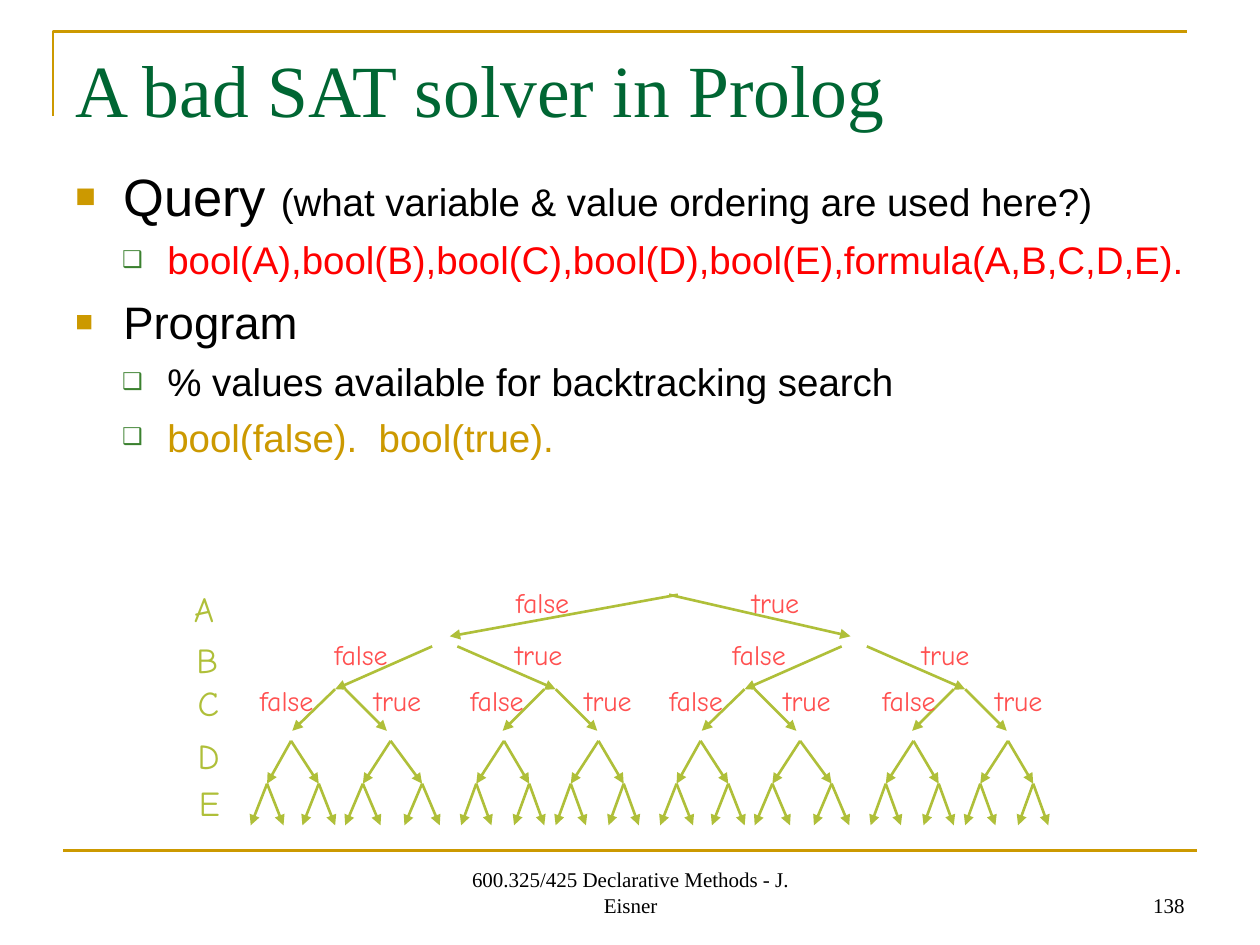
"""Build a slide on a naive SAT solver in Prolog, with its binary search tree."""
from lxml import etree
from pptx import Presentation
from pptx.dml.color import RGBColor
from pptx.enum.shapes import MSO_CONNECTOR
from pptx.enum.text import MSO_ANCHOR, MSO_AUTO_SIZE, PP_ALIGN
from pptx.oxml.ns import qn
from pptx.util import Pt

PX = 9144
STRAIGHT = MSO_CONNECTOR.STRAIGHT
TOP, BOTTOM = MSO_ANCHOR.TOP, MSO_ANCHOR.BOTTOM
LEFT, CENTER, RIGHT = PP_ALIGN.LEFT, PP_ALIGN.CENTER, PP_ALIGN.RIGHT
FIT_SHAPE = MSO_AUTO_SIZE.SHAPE_TO_FIT_TEXT

BLACK = RGBColor(0x00, 0x00, 0x00)
GOLD = RGBColor(0xCC, 0x99, 0x00)
DARK_GREEN = RGBColor(0x00, 0x66, 0x33)
BULLET_GREEN = RGBColor(0x3B, 0x81, 0x2F)
RED = RGBColor(0xFF, 0x00, 0x00)
TREE_GREEN = RGBColor(0xAF, 0xBF, 0x39)
CORAL = RGBColor(0xFF, 0x50, 0x50)

SERIF, SANS, HAND = "Times New Roman", "Arial", "Comic Neue"

BULLETS = [("■", GOLD, 65, 38, 38), ("❑", BULLET_GREEN, 60, 73, 36)]
OUTLINE = [
    (0, 0, [("Query ", 30, BLACK),
            ("(what variable & value ordering are used here?)", 22, BLACK)]),
    (1, 5.5, [("bool(A),bool(B),bool(C),bool(D),bool(E),formula(A,B,C,D,E).", 22, RED)]),
    (0, 6.5, [("Program", 26, BLACK)]),
    (1, 5.5, [("% values available for backtracking search", 22, BLACK)]),
    (1, 5.5, [("bool(false).  bool(true).", 22, GOLD)]),
]

LEVEL_Y = {"B": (513, 547), "C": (547, 580), "D": (588, 622), "E": (622, 655)}
HALF_SHIFT = 325
UPPER_BRANCHES = [
    ("B", 343, 266), ("B", 363, 441),
    ("C", 266, 232), ("C", 274, 307), ("C", 432, 399), ("C", 441, 474),
]
LOWER_TREES = [(231, 212, 253, 13), (310, 288, 335, 14),
               (400, 378, 420, 12), (475, 453, 495, 12)]
VARIABLES = [("A", 144, 461), ("B", 146, 502), ("C", 147, 536),
             ("D", 147, 578), ("E", 148, 615)]
BRANCH_LABELS = [
    (460, [399], [586]),
    (501, [255, 571], [398, 721]),
    (538, [196, 363, 521, 690], [286, 453, 611, 779]),
]


def style_font(font, name, size, color):
    """Set the typeface, size and colour of a font."""
    font.name, font.size = name, Pt(size)
    font.color.rgb = color


def add_box(page, left, top, width, height, wrap=True, anchor=TOP):
    """Add an empty text box and return its text frame."""
    box = page.shapes.add_textbox(left * PX, top * PX, width * PX, height * PX)
    frame = box.text_frame
    frame.word_wrap = wrap
    frame.vertical_anchor = anchor
    frame.margin_left = frame.margin_right = 10 * PX
    frame.margin_top = frame.margin_bottom = 5 * PX
    return frame


def add_text(page, text, area, font, align=LEFT, **options):
    """Add a text box holding one styled paragraph."""
    frame = add_box(page, *area, **options)
    frame.text = text
    para = frame.paragraphs[0]
    para.alignment = align
    style_font(para.runs[0].font, *font)
    return frame


def add_label(page, text, area, font, align=LEFT):
    """Add a label whose box fits its text."""
    add_text(page, text, area, font, align, wrap=False).auto_size = FIT_SHAPE


def add_line(page, start, end, color, arrow=False):
    """Add a straight line, with an arrowhead at its end if asked."""
    line = page.shapes.add_connector(STRAIGHT, *(value * PX for value in start + end))
    line.line.color.rgb = color
    line.line.width = Pt(1.5)
    properties = line._element.spPr
    if arrow:
        etree.SubElement(properties.find(qn("a:ln")), qn("a:tailEnd"), type="triangle")
    etree.SubElement(properties, qn("a:effectLst"))


def add_corner_rule(page):
    """Draw the gold rule that turns the corner above the title."""
    builder = page.shapes.build_freeform(42, 92, scale=PX)
    builder.add_line_segments([(42, 25), (942, 25)], close=False)
    rule = builder.convert_to_shape()
    rule.shadow.inherit = False
    rule.fill.background()
    rule.line.color.rgb = GOLD
    rule.line.width = Pt(1.5)


def set_bullet(para, level):
    """Give a paragraph the indent and bullet of its outline level."""
    mark, color, percent, margin, hanging = BULLETS[level]
    properties = para._p.get_or_add_pPr()
    properties.set("marL", str(margin * PX))
    properties.set("indent", str(-hanging * PX))
    bullet_color = etree.SubElement(properties, qn("a:buClr"))
    etree.SubElement(bullet_color, qn("a:srgbClr"), val=str(color))
    etree.SubElement(properties, qn("a:buSzPct"), val=str(percent * 1000))
    etree.SubElement(properties, qn("a:buFont"), typeface=SANS)
    etree.SubElement(properties, qn("a:buChar"), char=mark)


def add_outline(page):
    """Add the bulleted outline."""
    frame = add_box(page, 50, 125, 925, 550)
    for index, (level, space, spans) in enumerate(OUTLINE):
        para = frame.add_paragraph() if index else frame.paragraphs[0]
        para.level = level
        set_bullet(para, level)
        para.space_before = Pt(space)
        for text, size, color in spans:
            span = para.add_run()
            span.text = text
            style_font(span.font, SANS, size, color)


def add_branch(page, level, start_x, end_x):
    """Add one tree arrow across a level."""
    top, bottom = LEVEL_Y[level]
    add_line(page, (start_x, top), (end_x, bottom), TREE_GREEN, arrow=True)


def add_half_tree(page, shift):
    """Add all branches below one value of A."""
    for level, start_x, end_x in UPPER_BRANCHES:
        add_branch(page, level, start_x + shift, end_x + shift)
    for root, left, right, spread in LOWER_TREES:
        for child in (left, right):
            add_branch(page, "D", root + shift, child + shift)
            for leaf in (child - spread, child + spread):
                add_branch(page, "E", child + shift, leaf + shift)


def add_search_tree(page):
    """Add the search tree with its variable and value labels."""
    for name, left, top in VARIABLES:
        add_label(page, name, (left, top, 37, 44), (HAND, 20, TREE_GREEN))
    add_line(page, (538, 472), (357, 505), TREE_GREEN, arrow=True)
    add_line(page, (531, 472), (675, 505), TREE_GREEN, arrow=True)
    for shift in (0, HALF_SHIFT):
        add_half_tree(page, shift)
    for top, *columns in BRANCH_LABELS:
        for value, width, lefts in zip(("false", "true"), (63, 59), columns):
            for left in lefts:
                add_label(page, value, (left, top, width, 37), (HAND, 16, CORAL), CENTER)


def main():
    """Build and save the slide."""
    deck = Presentation()
    deck.slide_width, deck.slide_height = 1000 * PX, 750 * PX
    page = deck.slides.add_slide(deck.slide_layouts[6])
    add_corner_rule(page)
    add_line(page, (50, 675), (950, 675), GOLD)
    footer_font = (SERIF, 12, BLACK)
    add_text(page, "600.325/425 Declarative Methods - J. Eisner",
             (342, 683, 317, 50), footer_font, CENTER, anchor=BOTTOM)
    add_text(page, "138", (717, 683, 233, 50), footer_font, RIGHT, anchor=BOTTOM)
    add_text(page, "A bad SAT solver in Prolog", (50, 30, 900, 125),
             (SERIF, 42, DARK_GREEN))
    add_outline(page)
    add_search_tree(page)
    deck.save("out.pptx")


if __name__ == "__main__":
    main()
